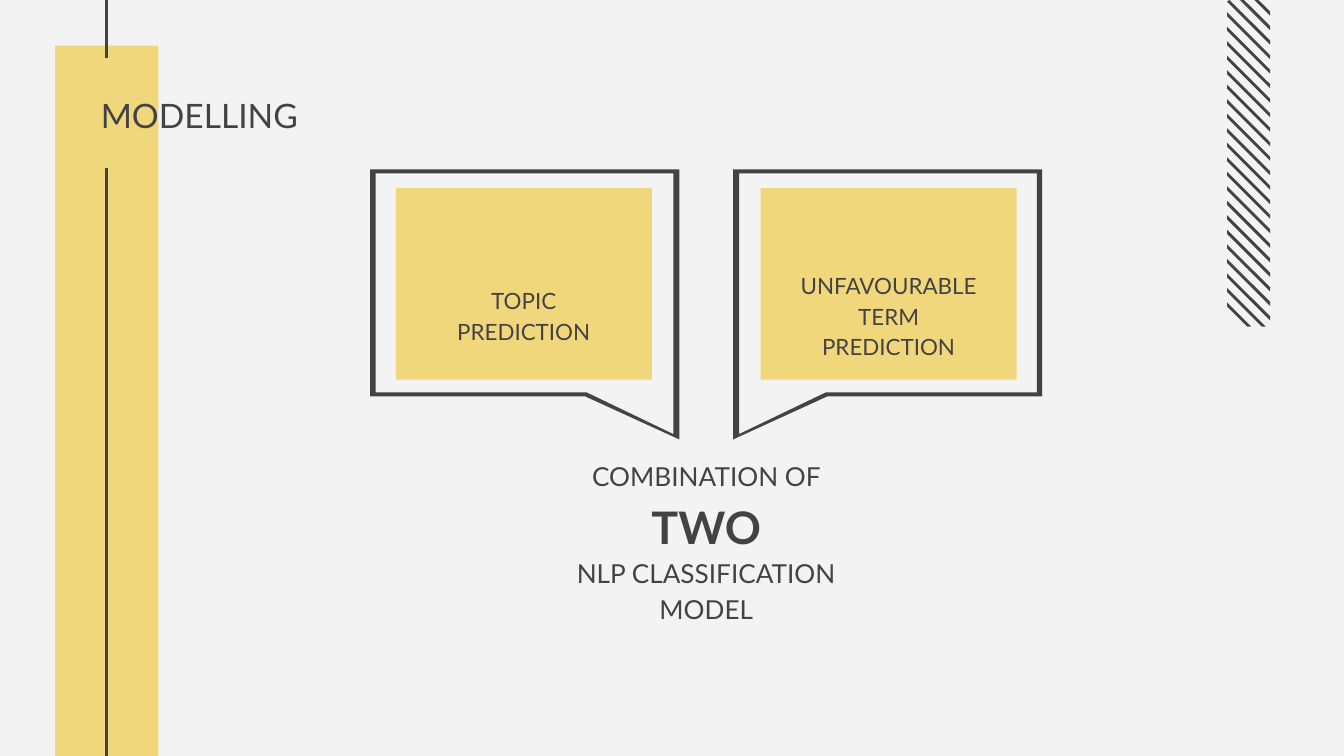
from lxml import etree
from pptx import Presentation
from pptx.dml.color import RGBColor
from pptx.enum.shapes import MSO_CONNECTOR, MSO_SHAPE
from pptx.enum.text import MSO_ANCHOR, MSO_AUTO_SIZE, PP_ALIGN
from pptx.oxml.ns import qn
from pptx.util import Pt

RECT, LINE = MSO_SHAPE.RECTANGLE, MSO_CONNECTOR.STRAIGHT
MIDDLE, NO_FIT = MSO_ANCHOR.MIDDLE, MSO_AUTO_SIZE.NONE
LEFT, CENTER = PP_ALIGN.LEFT, PP_ALIGN.CENTER
PAPER, YELLOW, INK = "F3F3F3", "F1D77B", "434343"


def paint(fill, color):
    fill.solid()
    fill.fore_color.rgb = RGBColor.from_string(color)


def write(p, text, size=12, bold=False, color=INK, font="Lato"):
    for i, line in enumerate(text.split("\n")):
        if i:
            p.add_line_break()
        if line:
            r = p.add_run()
            r.text = line
            r.font.name, r.font.size, r.font.bold = font, Pt(size), bold
            paint(r.font.fill, color)


prs = Presentation()
prs.slide_width, prs.slide_height = 9144000, 5143500
U = prs.slide_width // 100
ROWS = prs.slide_height / U
s = prs.slides.add_slide(prs.slide_layouts[4])
paint(s.background.fill, PAPER)

AXIS, NEAR, FAR = 52.55, 4.05, 23.1
CARD_TOP, CARD_H = 14, 14.25
cards = [AXIS - FAR, AXIS + NEAR]
card_w = FAR - NEAR

rects = [(4.1, 3.4, 7.7, ROWS - 3.4)]
rects += [(x, CARD_TOP, card_w, CARD_H) for x in cards]
for rect in rects:
    sp = s.shapes.add_shape(RECT, *[int(v * U) for v in rect])
    sp.shadow.inherit = False
    paint(sp.fill, YELLOW)
    sp.line.fill.background()

for top, bottom in [(12.5, ROWS), (0, 4.3)]:
    ends = [int(v * U) for v in (7.9, top, 7.9, bottom)]
    c = s.shapes.add_connector(LINE, *ends)
    paint(c.line.fill, INK)
    c.line.width = Pt(1.5)
    etree.SubElement(c._element.spPr, qn("a:effectLst"))

outlines = []
STRIPES, STEP, THICK = 24, 1.08, 0.3
HATCH_X, HATCH_W, HATCH_H = 91.3, 3.2, 24.3
for k in range(STRIPES):
    upper = 22.5 - k * STEP
    band = []
    for y in (upper, upper + THICK):
        x0, x1 = max(0, -y), min(HATCH_W, HATCH_H - y)
        edge = [(HATCH_X + x, y + x) for x in (x0, x1)]
        band += edge if y == upper else edge[::-1]
    outlines.append([band])

OUTER = [(2, 32.7), (2, 12.6), (25, 12.6), (25, 29.5), (9, 29.5)]
INNER = [(2.45, 32.3), (2.45, 12.9), (24.6, 12.9), (24.6, 29.2), (8.9, 29.2)]
for side in (-1, 1):
    outlines.append([[(AXIS + side * x, y) for x, y in ring] for ring in (OUTER, INNER)])

for rings in outlines:
    rings = [[(x * U, y * U) for x, y in ring] for ring in rings]
    fb = s.shapes.build_freeform(*rings[0][0], scale=1.0)
    for i, ring in enumerate(rings):
        if i:
            fb.move_to(*ring[0])
        fb.add_line_segments(ring[1:], close=True)
    sp = fb.convert_to_shape()
    sp.shadow.inherit = False
    paint(sp.fill, INK)
    sp.line.fill.background()

texts = [
    (0, (6.5, 4.5, 22.9, 8.1), 1, LEFT, [("MODELLING", 18, False)]),
    (1, (cards[0], CARD_TOP, card_w, CARD_H), 5.5, CENTER,
     [("TOPIC\nPREDICTION", 12, False)]),
    (2, (41.6, 32.7, 21.9, 12.3), 3.7, CENTER,
     [("COMBINATION OF ", 14, False), ("TWO\n", 24, True),
      ("NLP CLASSIFICATION MODEL", 14, False)]),
    (3, (cards[1], CARD_TOP, card_w, CARD_H), 5.5, CENTER,
     [("UNFAVOURABLE TERM\nPREDICTION", 12, False)]),
]
holders = {ph.placeholder_format.idx: ph for ph in s.placeholders}
for idx, box, inset, align, runs in texts:
    ph = holders.pop(idx)
    ph.left, ph.top, ph.width, ph.height = [int(v * U) for v in box]
    s.shapes._spTree.append(ph._element)
    tf = ph.text_frame
    tf.word_wrap, tf.auto_size, tf.vertical_anchor = True, NO_FIT, MIDDLE
    tf.margin_left = tf.margin_right = tf.margin_bottom = U
    tf.margin_top = int(inset * U)
    p = tf.paragraphs[0]
    pPr = p._p.get_or_add_pPr()
    pPr.set("marL", "0")
    pPr.set("indent", "0")
    etree.SubElement(pPr, qn("a:buNone"))
    p.alignment, p.space_before = align, Pt(0)
    p.line_spacing = 1.0 if idx == 0 else 1.15
    for text, size, bold in runs:
        write(p, text, size=size, bold=bold)
for ph in holders.values():
    ph._element.getparent().remove(ph._element)

prs.save("out.pptx")
